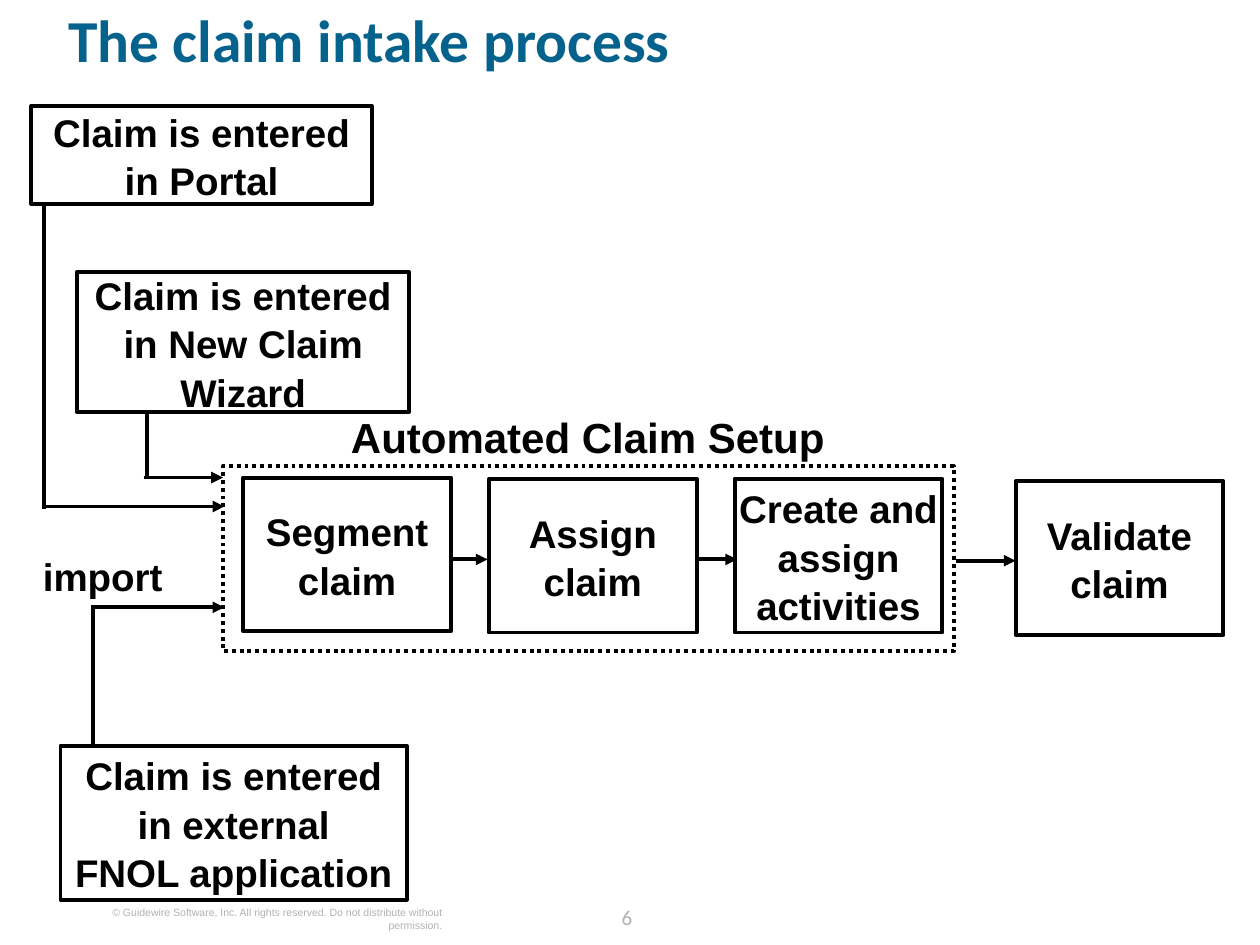
from typing import NamedTuple

from lxml import etree
from pptx import Presentation
from pptx import util as u
from pptx.dml.color import RGBColor
from pptx.enum import dml, shapes, text
from pptx.oxml.ns import qn

PX = 9144  # 100 px to the inch
BLACK = RGBColor(0x00, 0x00, 0x00)
WHITE = RGBColor(0xFF, 0xFF, 0xFF)
TEAL = RGBColor(0x04, 0x62, 0x8C)
GREY = RGBColor(0xB2, 0xB2, 0xB2)
OUTLINE = u.Pt(2.25)
CENTER, LEFT, RIGHT = text.PP_ALIGN.CENTER, text.PP_ALIGN.LEFT, text.PP_ALIGN.RIGHT
STEP_SIZE = (165, 122)


class Box(NamedTuple):
    left: int
    top: int
    width: int
    height: int


class Step(NamedTuple):
    words: str
    box: Box
    inset: int = 0


class Label(NamedTuple):
    words: str
    box: Box
    size: int
    color: RGBColor = BLACK
    align: text.PP_ALIGN = CENTER
    font: str = "Arial"
    bold: bool = True
    spacing: float = 1.0


class Line(NamedTuple):
    start: tuple[int, int]
    end: tuple[int, int]
    arrow: bool = True


SETUP_FRAME = Box(177, 370, 580, 147)

STEPS = [
    Step("Claim is entered in Portal", Box(25, 84, 270, 78), 10),
    Step("Claim is entered in New Claim Wizard", Box(61, 216, 264, 111), 10),
    Step("Claim is entered in external\vFNOL application", Box(48, 592, 275, 122), 10),
    Step("Segment\vclaim", Box(193, 379, *STEP_SIZE)),
    Step("Assign\vclaim", Box(388, 380, *STEP_SIZE)),
    Step("Create and assign activities", Box(583, 380, *STEP_SIZE)),
    Step("Validate\vclaim", Box(806, 382, *STEP_SIZE)),
]

LABELS = [
    Label("The claim intake process", Box(54, 13, 910, 81), 34, TEAL, LEFT,
          "Calibri", spacing=0.8),
    Label("Automated Claim Setup", Box(248, 327, 437, 40), 24),
    Label("import", Box(34, 439, 115, 37), 22, align=LEFT),
    Label("© Guidewire Software, Inc. All rights reserved. "
          "Do not distribute without permission.",
          Box(61, 719, 290, 20), 6, GREY, RIGHT, bold=False),
    Label("6", Box(469, 713, 57, 25), 12, GREY, font="Calibri", bold=False,
          spacing=u.Pt(18)),
]

LINES = [
    Line((35, 161), (35, 404), arrow=False),
    Line((36, 402), (178, 402)),
    Line((117, 327), (117, 379), arrow=False),
    Line((114, 379), (177, 379)),
    Line((74, 592), (74, 480), arrow=False),
    Line((74, 482), (178, 482)),
    Line((356, 444), (387, 444)),
    Line((554, 444), (585, 444)),
    Line((759, 445), (806, 445)),
]


def emu(lengths: tuple[int, ...]) -> list[int]:
    return [length * PX for length in lengths]


def write(frame, words: str, inset: int, anchor: text.MSO_ANCHOR, align: text.PP_ALIGN,
          spacing: float, color: RGBColor, font_format: dict) -> None:
    frame_format = {
        "word_wrap": True, "vertical_anchor": anchor,
        "margin_left": inset * PX, "margin_right": inset * PX,
        "margin_top": 0, "margin_bottom": 0,
    }
    for name, value in frame_format.items():
        setattr(frame, name, value)
    paragraph = frame.paragraphs[0]
    paragraph.text = words
    paragraph.alignment = align
    paragraph.line_spacing = spacing
    for run in paragraph.runs:
        for name, value in font_format.items():
            setattr(run.font, name, value)
        run.font.color.rgb = color


def add_rectangle(slide, box: Box):
    rectangle = slide.shapes.add_shape(shapes.MSO_SHAPE.RECTANGLE, *emu(box))
    rectangle.shadow.inherit = False
    rectangle.line.color.rgb = BLACK
    rectangle.line.width = OUTLINE
    return rectangle


def add_setup_frame(slide) -> None:
    setup = add_rectangle(slide, SETUP_FRAME)
    setup.fill.background()
    setup.line.dash_style = dml.MSO_LINE.ROUND_DOT


def add_step(slide, step: Step) -> None:
    rectangle = add_rectangle(slide, step.box)
    rectangle.fill.solid()
    rectangle.fill.fore_color.rgb = WHITE
    write(rectangle.text_frame, step.words, step.inset, text.MSO_ANCHOR.MIDDLE, CENTER,
          1.05, BLACK, {"name": "Arial", "size": u.Pt(22), "bold": True})


def add_label(slide, label: Label) -> None:
    textbox = slide.shapes.add_textbox(*emu(label.box))
    write(textbox.text_frame, label.words, 0, text.MSO_ANCHOR.TOP, label.align,
          label.spacing, label.color,
          {"name": label.font, "size": u.Pt(label.size), "bold": label.bold})


def add_line(slide, line: Line) -> None:
    connector = slide.shapes.add_connector(
        shapes.MSO_CONNECTOR.STRAIGHT, *emu(line.start + line.end))
    connector.line.color.rgb = BLACK
    connector.line.width = OUTLINE
    properties = connector.line._get_or_add_ln()
    if line.arrow:
        etree.SubElement(properties, qn("a:tailEnd"), type="triangle")
    etree.SubElement(properties.getparent(), qn("a:effectLst"))


def main() -> None:
    deck = Presentation()
    deck.slide_width, deck.slide_height = emu((1000, 750))
    slide = deck.slides.add_slide(deck.slide_layouts[6])
    add_setup_frame(slide)
    for step in STEPS:
        add_step(slide, step)
    for label in LABELS:
        add_label(slide, label)
    for line in LINES:
        add_line(slide, line)
    deck.save("out.pptx")


if __name__ == "__main__":
    main()
